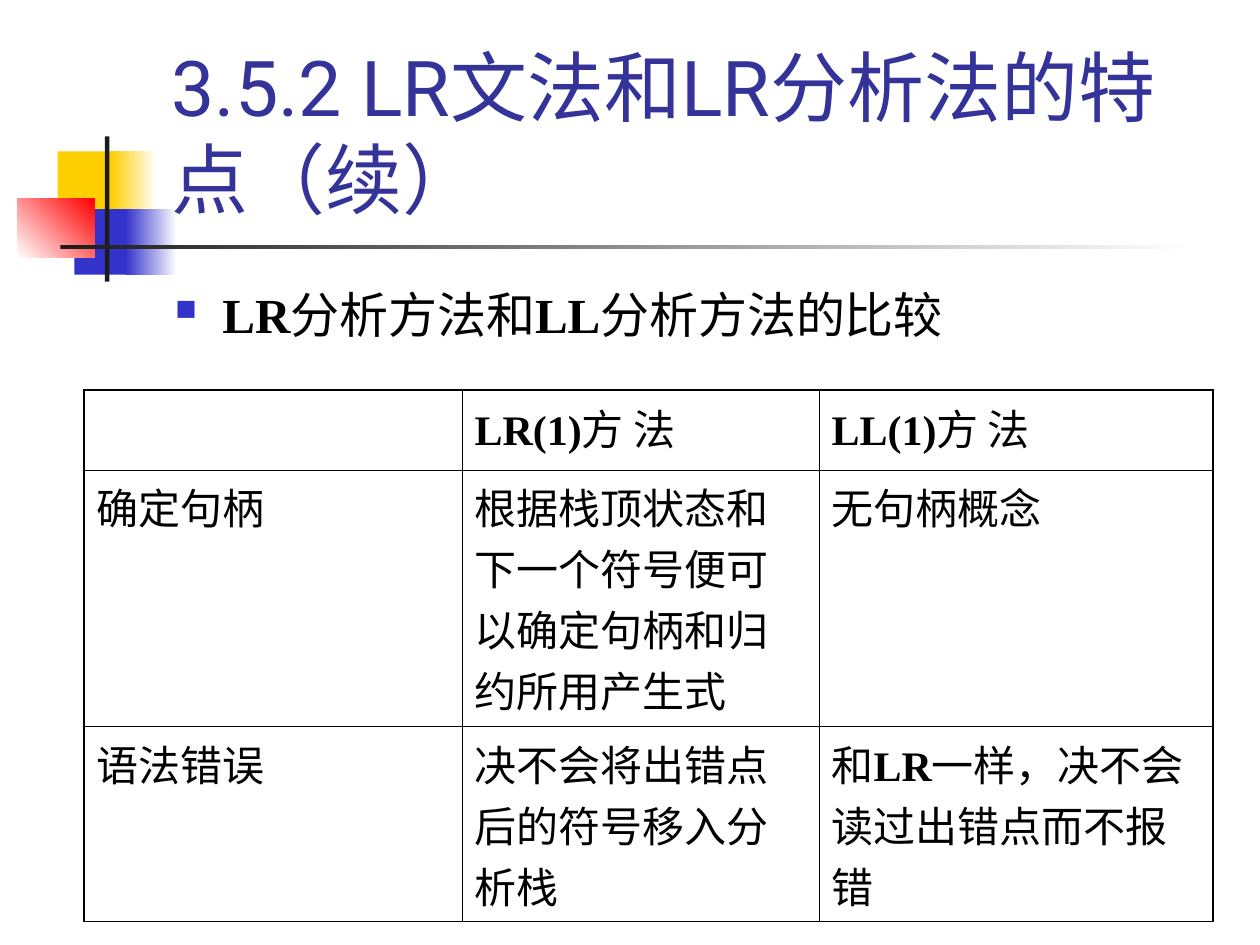
from pptx import Presentation
from pptx.dml.color import RGBColor
from pptx.enum.shapes import MSO_SHAPE
from pptx.enum.text import MSO_ANCHOR
from pptx.oxml import parse_xml
from pptx.oxml.ns import nsdecls
from pptx.util import Pt

RECT = MSO_SHAPE.RECTANGLE
TOP, BOTTOM = MSO_ANCHOR.TOP, MSO_ANCHOR.BOTTOM
HUES = {"gold": "FFCF01", "blue": "3333CC", "red": "FF0000", "dark": "1C1C1C",
        "white": "FFFFFF", "title": "333399", "text": "000000"}
HAN, LATIN, HEAD = "Noto Sans CJK SC", "Times New Roman", "Roboto"
THICK, THIN = 1.08, 0.45
ROWS = [["", "LR(1)|方 法", "LL(1)|方 法"],
        ["确定句柄", "根据栈顶状态和下一个符号便可以确定句柄和归约所用产生式", "无句柄概念"],
        ["语法错误", "决不会将出错点后的符号移入分析栈", "和|LR|一样，决不会读过出错点而不报错"]]


class Deck:
    """Hold the slide and its style, and draw each kind of element."""

    def __init__(self):
        self.prs = Presentation()
        self.prs.slide_width, self.prs.slide_height = Pt(720), Pt(540)
        self.slide = self.prs.slides.add_slide(self.prs.slide_layouts[6])

    def color(self, name):
        return RGBColor.from_string(HUES[name])

    def block(self, box, hue, end=None, angle=0):
        shape = self.slide.shapes.add_shape(RECT, *map(Pt, box))
        shape.shadow.inherit = False
        shape.line.fill.background()
        if end is None:
            shape.fill.solid()
            shape.fill.fore_color.rgb = self.color(hue)
            return
        shape.fill.gradient()
        shape.fill.gradient_angle = angle
        for stop, name in zip(shape.fill.gradient_stops, (hue, end)):
            stop.color.rgb = self.color(name)

    def style(self, run, face, size, hue, bold=False):
        font = run.font
        font.name, font.size, font.bold = face, Pt(size), bold
        font.color.rgb = self.color(hue)
        east = f'<a:ea {nsdecls("a")} typeface="{face}"/>'
        run._r.get_or_add_rPr().append(parse_xml(east))

    def mixed(self, para, text, size):
        for part in text.split("|"):
            run = para.add_run()
            run.text = part
            bold = part.isascii()
            self.style(run, LATIN if bold else HAN, size, "text", bold)

    def frame(self, box, anchor):
        frame = self.slide.shapes.add_textbox(*map(Pt, box)).text_frame
        frame.word_wrap, frame.vertical_anchor = True, anchor
        return frame

    def title(self, box, text):
        frame = self.frame(box, BOTTOM)
        frame.text = text
        self.style(frame.paragraphs[0].runs[0], HEAD, 44, "title")

    def bullet(self, box, text):
        para = self.frame(box, TOP).paragraphs[0]
        props = para._p.get_or_add_pPr()
        props.set("marL", str(Pt(27)))
        props.set("indent", str(Pt(-27)))
        for mark in (f'<a:buClr {nsdecls("a")}><a:srgbClr val="{HUES["blue"]}"/></a:buClr>',
                     f'<a:buSzPct {nsdecls("a")} val="60000"/>',
                     f'<a:buChar {nsdecls("a")} char="■"/>'):
            props.append(parse_xml(mark))
        self.mixed(para, text, 28)

    def border(self, cell, edges):
        props = cell._tc.get_or_add_tcPr()
        for spot, (side, outer) in enumerate(edges.items()):
            width = Pt(THICK if outer else THIN)
            props.insert(spot, parse_xml(
                f'<a:ln{side} {nsdecls("a")} w="{width}"><a:solidFill>'
                f'<a:srgbClr val="{HUES["text"]}"/></a:solidFill></a:ln{side}>'))

    def table(self, left, top, wide, high, rows):
        size = len(high), len(wide)
        box = left, top, sum(wide), sum(high)
        table = self.slide.shapes.add_table(*size, *map(Pt, box)).table
        table.first_row = table.horz_banding = False
        for col, width in zip(table.columns, wide):
            col.width = Pt(width)
        for row, height in zip(table.rows, high):
            row.height = Pt(height)
        for r, line in enumerate(rows):
            for c, text in enumerate(line):
                cell = table.cell(r, c)
                cell.fill.background()
                self.border(cell, {"L": c == 0, "R": c == size[1] - 1,
                                   "T": r == 0, "B": r == size[0] - 1})
                if text:
                    self.mixed(cell.text_frame.paragraphs[0], text, 24)


def main():
    deck = Deck()
    deck.block((33, 86.5, 34.5, 37.5), "gold")
    deck.block((63.5, 86.5, 26, 37.5), "gold", "white")
    deck.block((42.5, 119.5, 33, 37.5), "blue")
    deck.block((72, 119.5, 29, 37.5), "blue", "white")
    deck.block((10, 113.5, 44, 33.5), "white", "red", 45)
    deck.block((60, 78, 2.5, 83), "dark")
    deck.block((34.5, 140, 648, 2.5), "dark", "white")
    deck.title((91, 16.5, 613.5, 115), "3.5.2 LR文法和LR分析法的特点（续）")
    deck.bullet((93, 159, 597, 324), "LR|分析方法和|LL|分析方法的比较")
    deck.table(48, 223, (216, 204, 225), (45.5, 146.5, 111.5), ROWS)
    deck.prs.save("out.pptx")


if __name__ == "__main__":
    main()
